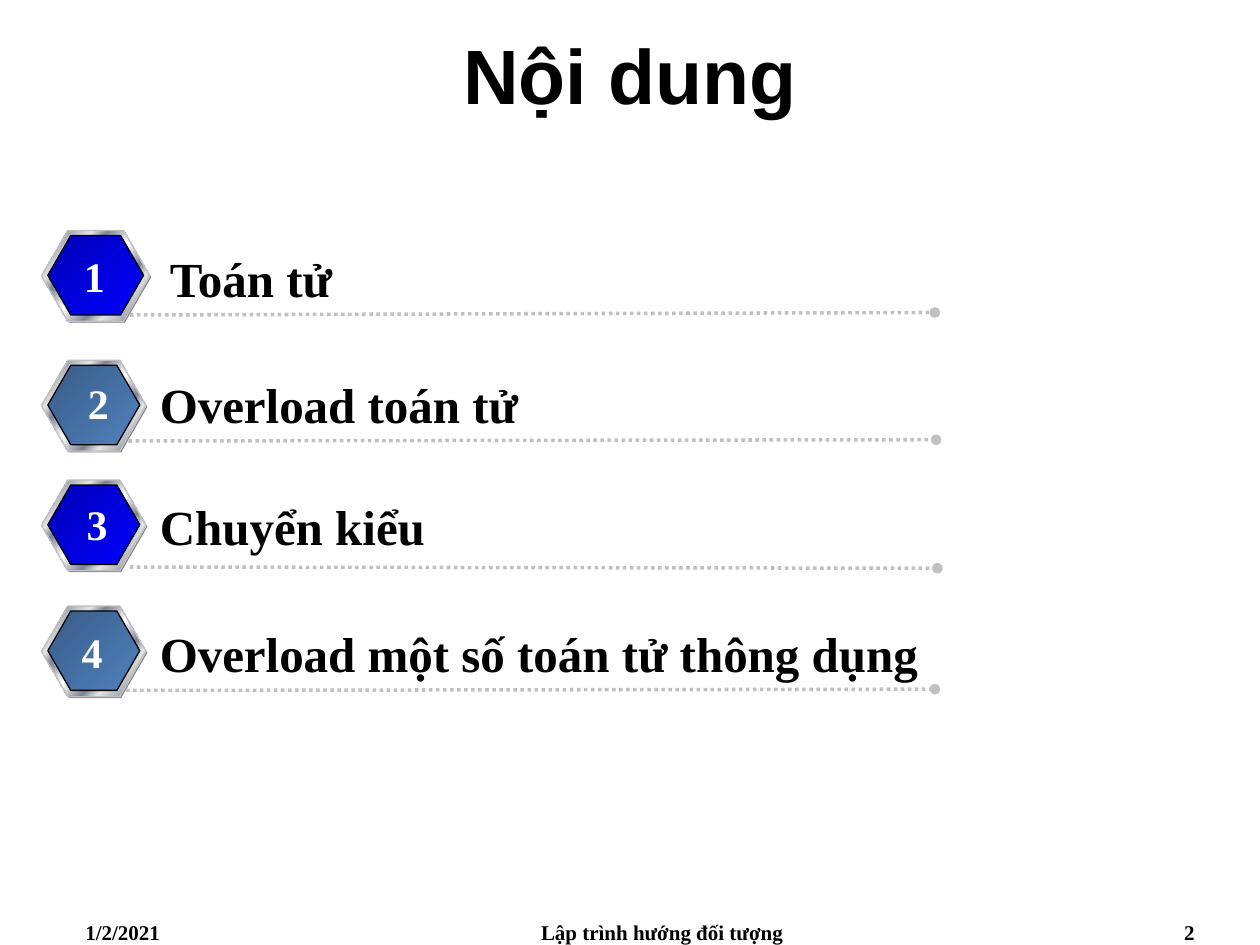
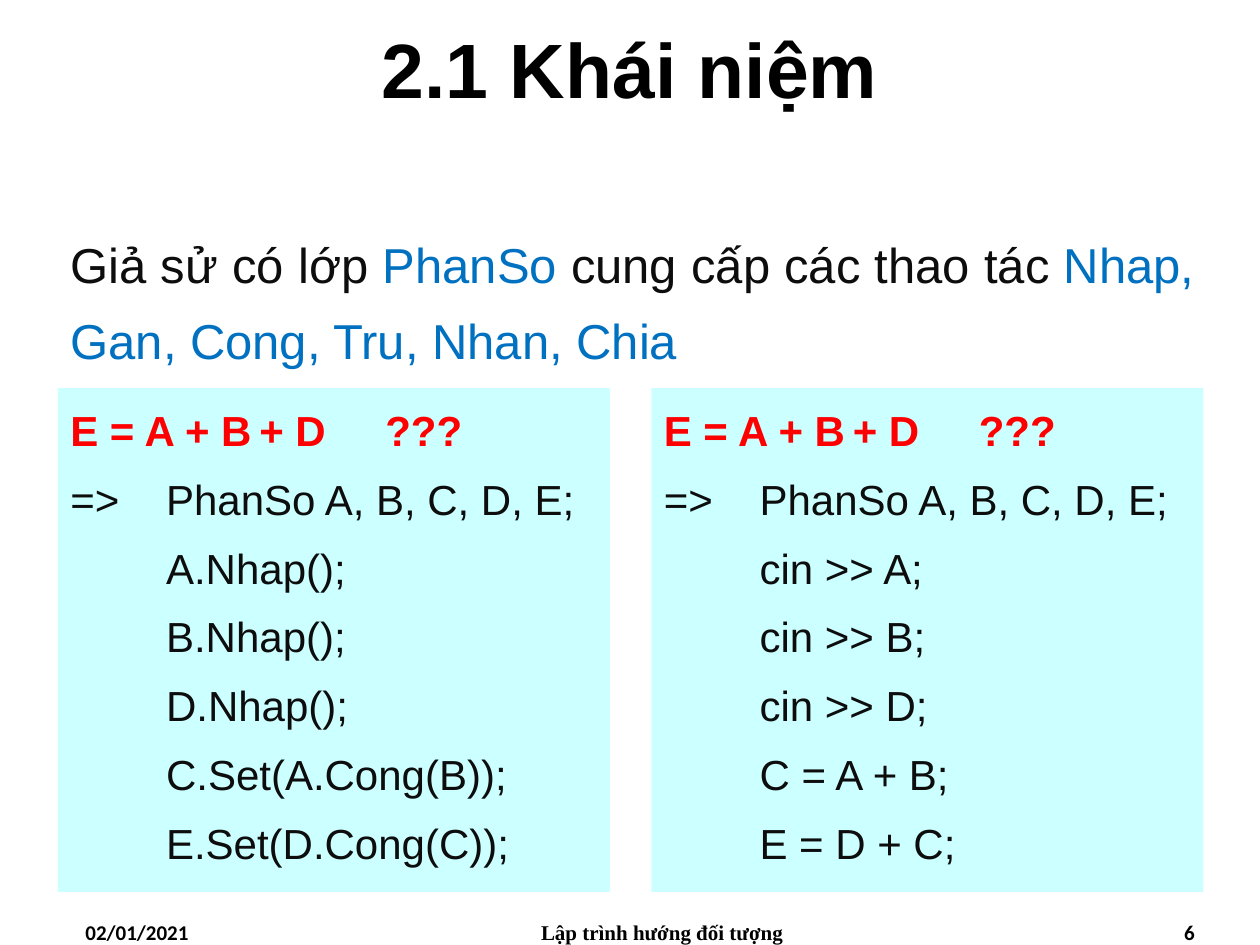
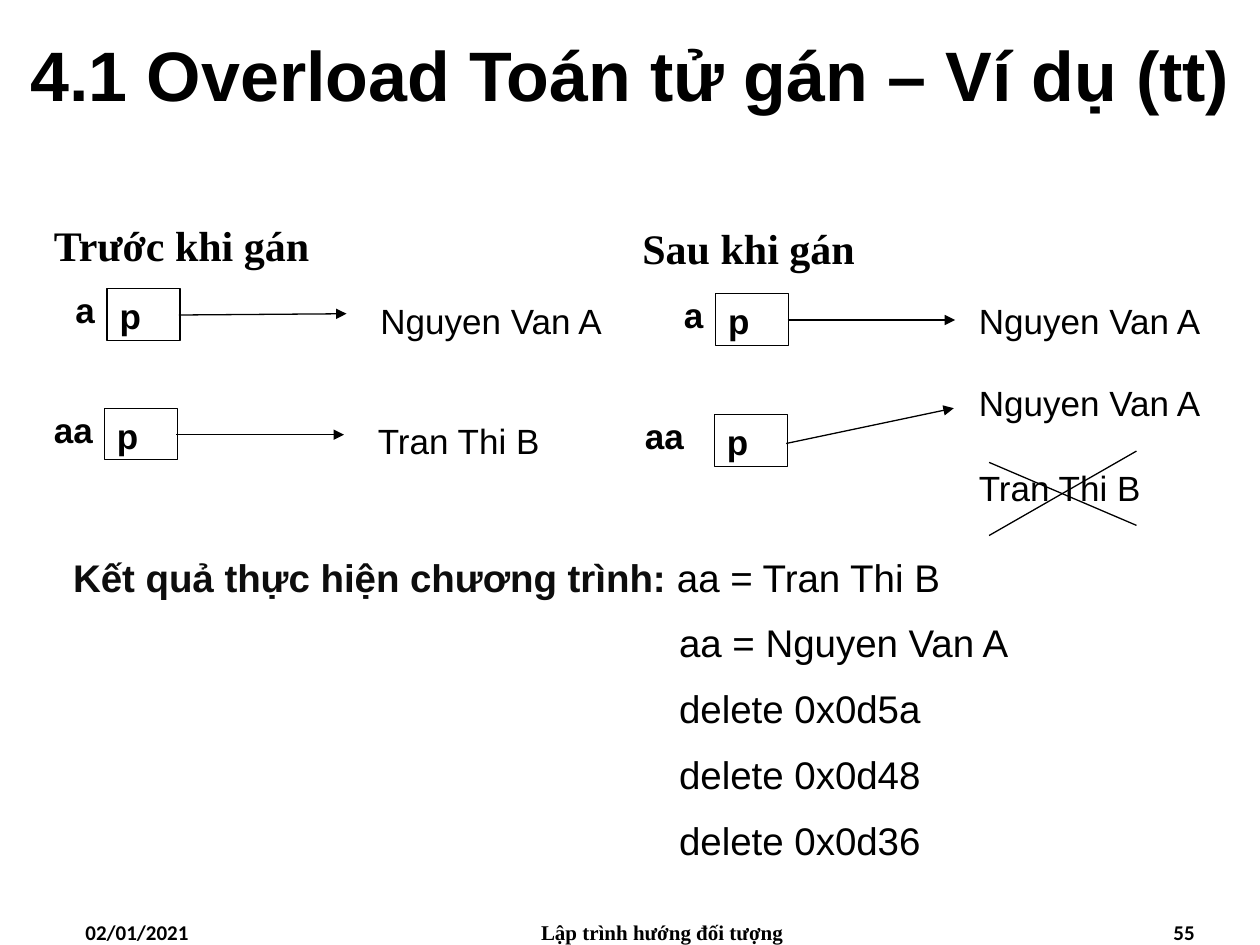
from lxml.etree import SubElement
from pptx import Presentation
from pptx.dml.color import RGBColor
from pptx.enum.dml import MSO_LINE
from pptx.enum.shapes import MSO_CONNECTOR, MSO_SHAPE
from pptx.enum.text import MSO_ANCHOR, MSO_AUTO_SIZE, PP_ALIGN
from pptx.oxml.ns import qn
from pptx.util import Inches, Pt

BLACK = RGBColor(0x00, 0x00, 0x00)
WHITE = RGBColor(0xFF, 0xFF, 0xFF)
INK = RGBColor(0x0D, 0x0D, 0x0D)
RED = RGBColor(0xFF, 0x00, 0x00)
SKY = RGBColor(0x00, 0x70, 0xC0)
CYAN = RGBColor(0xCC, 0xFF, 0xFF)
GRAY = RGBColor(0x80, 0x80, 0x80)
SILVER = RGBColor(0xC0, 0xC0, 0xC0)
LIGHT = RGBColor(0xE6, 0xE6, 0xE6)
STEEL = RGBColor(0x7D, 0x84, 0x96)
NAVY = RGBColor(0x00, 0x00, 0xB6)
BLUE = RGBColor(0x00, 0x00, 0xFF)
SLATE = RGBColor(0x39, 0x5C, 0x87)
AZURE = RGBColor(0x4F, 0x81, 0xBD)

METAL = [(0, LIGHT), (7, STEEL), (26, LIGHT), (34, STEEL), (46, LIGHT), (50, WHITE),
         (54, LIGHT), (66, STEEL), (74, LIGHT), (93, STEEL), (100, LIGHT)]
BADGE_FILLS = [[(0, NAVY), (100, BLUE)], [(0, SLATE), (100, AZURE)]]

SANS, SERIF, PLAIN = "Arial", "Times New Roman", "Calibri"
LEFT, CENTER, RIGHT, JUSTIFY = PP_ALIGN.LEFT, PP_ALIGN.CENTER, PP_ALIGN.RIGHT, PP_ALIGN.JUSTIFY
COURSE = "Lập trình hướng đối tượng"


class Deck:
    def __init__(self):
        self.prs = Presentation()
        self.prs.slide_width, self.prs.slide_height = Inches(10), Inches(7.5)
        self.slide = None

    def new_slide(self, title, date, number, font=PLAIN, size=44, top=0, body=False):
        self.slide = self.prs.slides.add_slide(self.prs.slide_layouts[1 if body else 5])
        sp = self.slide.shapes.title
        self.place(sp, 0, top, 10, 1.17)
        sp.text_frame.vertical_anchor = MSO_ANCHOR.MIDDLE
        self.para(sp.text_frame, [(title, BLACK, True)], size, align=CENTER)
        self.text(date, 0.58, 7.25, 2.33, 0.25, 12, font)
        self.text(COURSE, 3.67, 7.25, 3.17, 0.25, 12, SERIF, align=CENTER)
        self.text(number, 7.25, 7.25, 2.33, 0.25, 12, font, align=RIGHT)

    def place(self, sp, x, y, w, h):
        sp.left, sp.top, sp.width, sp.height = Inches(x), Inches(y), Inches(w), Inches(h)
        sp.text_frame.auto_size = MSO_AUTO_SIZE.NONE

    def para(self, tf, runs, size, font=SANS, align=LEFT, spacing=1.0, before=0, after=0,
             margin=0, indent=0, tabs=()):
        p = tf.paragraphs[0]
        if p.runs:
            p = tf.add_paragraph()
            p.space_before = Pt(before)
        else:
            p.space_before = Pt(0)
        p.alignment, p.line_spacing, p.space_after = align, spacing, Pt(after)
        pPr = p._p.get_or_add_pPr()
        pPr.set("marL", str(Inches(margin)))
        pPr.set("indent", str(Inches(indent)))
        SubElement(pPr, qn("a:buNone"))
        if tabs:
            stops = SubElement(pPr, qn("a:tabLst"))
            for stop in tabs:
                SubElement(stops, qn("a:tab"), pos=str(Inches(stop)), algn="l")
        for text, color, bold in runs:
            r = p.add_run()
            r.text = text
            r.font.name, r.font.size, r.font.bold = font, Pt(size), bold
            r.font.color.rgb = color

    def body(self, x, y, w, h):
        sp = self.slide.placeholders[1]
        self.place(sp, x, y, w, h)
        return sp.text_frame

    def text(self, text, x, y, w, h, size, font=SANS, color=BLACK, bold=True, align=LEFT,
             wrap=True):
        sp = self.slide.shapes.add_textbox(Inches(x), Inches(y), Inches(w), Inches(h))
        sp.text_frame.word_wrap = wrap
        self.para(sp.text_frame, [(text, color, bold)], size, font, align)

    def shape(self, kind, x, y, w, h, fill=None, line=None, parent=None):
        shapes = (parent or self.slide).shapes
        sp = shapes.add_shape(kind, Inches(x), Inches(y), Inches(w), Inches(h))
        sp.shadow.inherit = False
        if fill is None:
            sp.fill.background()
        elif isinstance(fill, list):
            self.gradient(sp, fill)
        else:
            sp.fill.solid()
            sp.fill.fore_color.rgb = fill
        if line is None:
            sp.line.fill.background()
        else:
            sp.line.color.rgb, sp.line.width = line, Pt(0.75)
        sp.text_frame.vertical_anchor = MSO_ANCHOR.TOP
        sp.text_frame.word_wrap = True
        return sp

    def gradient(self, sp, stops):
        sp.fill.gradient()
        sp.fill.gradient_angle = 315
        stop_list = sp._element.spPr.find(qn("a:gradFill")).find(qn("a:gsLst"))
        for old in list(stop_list):
            stop_list.remove(old)
        for percent, color in stops:
            stop = SubElement(stop_list, qn("a:gs"), pos=str(percent * 1000))
            SubElement(stop, qn("a:srgbClr"), val=str(color))

    def line(self, x1, y1, x2, y2, color=BLACK, width=0.75, dash=None, end=None):
        sp = self.slide.shapes.add_connector(
            MSO_CONNECTOR.STRAIGHT, Inches(x1), Inches(y1), Inches(x2), Inches(y2))
        sp.line.color.rgb, sp.line.width = color, Pt(width)
        if dash:
            sp.line.dash_style = dash
        spPr = sp._element.spPr
        if end:
            SubElement(spPr.find(qn("a:ln")), qn("a:tailEnd"), type=end)
        SubElement(spPr, qn("a:effectLst"))

    def badge(self, y, width, fill):
        group = self.slide.shapes.add_group_shape()
        for x, dy, w, h, paint, edge in (
                (0.34, 0.01, width, 0.72, GRAY, None),
                (0.33, 0, width, 0.72, METAL, SILVER),
                (0.38, 0.04, width - 0.1, 0.63, fill, BLACK)):
            sp = self.shape(MSO_SHAPE.HEXAGON, x, y + dy, w, h, paint, edge, group)
            sp.adjustments[0] = 0.289

    def code_panel(self, x, statements):
        tf = self.shape(MSO_SHAPE.RECTANGLE, x, 3.08, 4.38, 4, CYAN).text_frame
        style = dict(size=24, spacing=1.2, before=4.8)
        self.para(tf, [("E = A + B\t+ D\t???", RED, True)], tabs=(1.61, 2.42), **style)
        self.para(tf, [("=>\tPhanSo A, B, C, D, E;", INK, False)],
                  margin=0.76, indent=-0.76, **style)
        for statement in statements:
            self.para(tf, [(statement, INK, False)], margin=0.38, indent=0.38, **style)

    def pointer(self, name, name_x, x, y, end_y):
        self.text(name, name_x, y - 0.05, 0.57, 0.4, 20)
        sp = self.shape(MSO_SHAPE.RECTANGLE, x, y, 0.58, 0.41, line=BLACK)
        self.para(sp.text_frame, [("p", BLACK, True)], 20)
        start_y = y + 0.21 if end_y > y else y + 0.23
        self.line(x + 0.57, start_y, x + 1.9, end_y, end="triangle")


def contents(deck):
    deck.new_slide("Nội dung", "1/2/2021", "2", SERIF)
    items = [
        ("Toán tử", 1.83, 0.86, 1.25, 1.92, 0.75, 1.94, (1.03, 2.5, 7.42, 2.48)),
        ("Overload toán tử", 2.86, 0.83, 1.17, 2.92, 0.78, 2.95, (1.02, 3.5, 7.43, 3.49)),
        ("Chuyển kiểu", 3.81, 0.83, 1.17, 3.89, 0.77, 3.91, (1.03, 4.5, 7.44, 4.51)),
        ("Overload một số toán tử thông dụng", 4.81, 0.83, 1.17, 4.9, 0.73, 4.92,
         (1, 5.48, 7.42, 5.47)),
    ]
    for i, (label, top, width, x, y, number_x, number_y, rule) in enumerate(items):
        deck.badge(top, width, BADGE_FILLS[i % 2])
        deck.line(*rule, SILVER, 2, MSO_LINE.ROUND_DOT, "oval")
        deck.text(label, x, y, 8.5, 0.57, 28, SERIF)
        deck.text(str(i + 1), number_x - 0.19, number_y, 0.38, 0.5, 24, SERIF, WHITE,
                  align=CENTER, wrap=False)


def concept(deck):
    deck.new_slide("2.1 Khái niệm", "02/01/2021", "6", top=-0.05, body=True)
    tf = deck.body(0.46, 1.67, 9.12, 5.39)
    deck.para(tf, [("Giả sử có lớp ", INK, False), ("PhanSo", SKY, False),
                   (" cung cấp các thao tác ", INK, False),
                   ("Nhap, Gan, Cong, Tru, Nhan, Chia", SKY, False)],
              28, align=JUSTIFY, spacing=1.3, after=3)
    deck.code_panel(0.46, ["A.Nhap();", "B.Nhap();", "D.Nhap();",
                           "C.Set(A.Cong(B));", "E.Set(D.Cong(C));"])
    deck.code_panel(5.17, ["cin >> A;", "cin >> B;", "cin >> D;", "C = A + B;", "E = D + C;"])


def assignment(deck):
    deck.new_slide("4.1 Overload Toán tử gán – Ví dụ (tt)", "02/01/2021", "55",
                   size=40, body=True)
    tf = deck.body(0.42, 4.27, 9.17, 2.73)
    style = dict(size=22, align=JUSTIFY, spacing=1.2, before=3, after=3, margin=0.81)
    deck.para(tf, [("Kết quả thực hiện chương trình: ", INK, True),
                   ("aa = Tran Thi B", BLACK, False)], indent=-0.75, **style)
    for output in ("aa = Nguyen Van A", "delete 0x0d5a", "delete 0x0d48", "delete 0x0d36"):
        deck.para(tf, [(output, BLACK, False)], indent=4.06, **style)

    deck.text("Trước khi gán", 0.33, 1.69, 4.42, 0.58, 24, SERIF)
    deck.text("Sau khi gán", 5, 1.72, 3.58, 0.64, 24, SERIF)
    for pointer in (("a", 0.5, 0.85, 2.29, 2.49), ("aa", 0.33, 0.83, 3.24, 3.45),
                    ("a", 5.33, 5.68, 2.33, 2.54), ("aa", 5.02, 5.67, 3.29, 3.24)):
        deck.pointer(*pointer)
    for name, x, y in (("Nguyen Van A", 2.92, 2.33), ("Tran Thi B", 2.9, 3.28),
                       ("Nguyen Van A", 7.67, 2.33), ("Nguyen Van A", 7.67, 2.98),
                       ("Tran Thi B", 7.67, 3.65)):
        deck.text(name, x, y, 2.25, 0.44, 20, bold=False)
    deck.line(7.85, 3.67, 9.02, 4.17)
    deck.line(9.02, 3.58, 7.85, 4.25)


def main():
    deck = Deck()
    contents(deck)
    concept(deck)
    assignment(deck)
    deck.prs.save("out.pptx")


if __name__ == "__main__":
    main()
